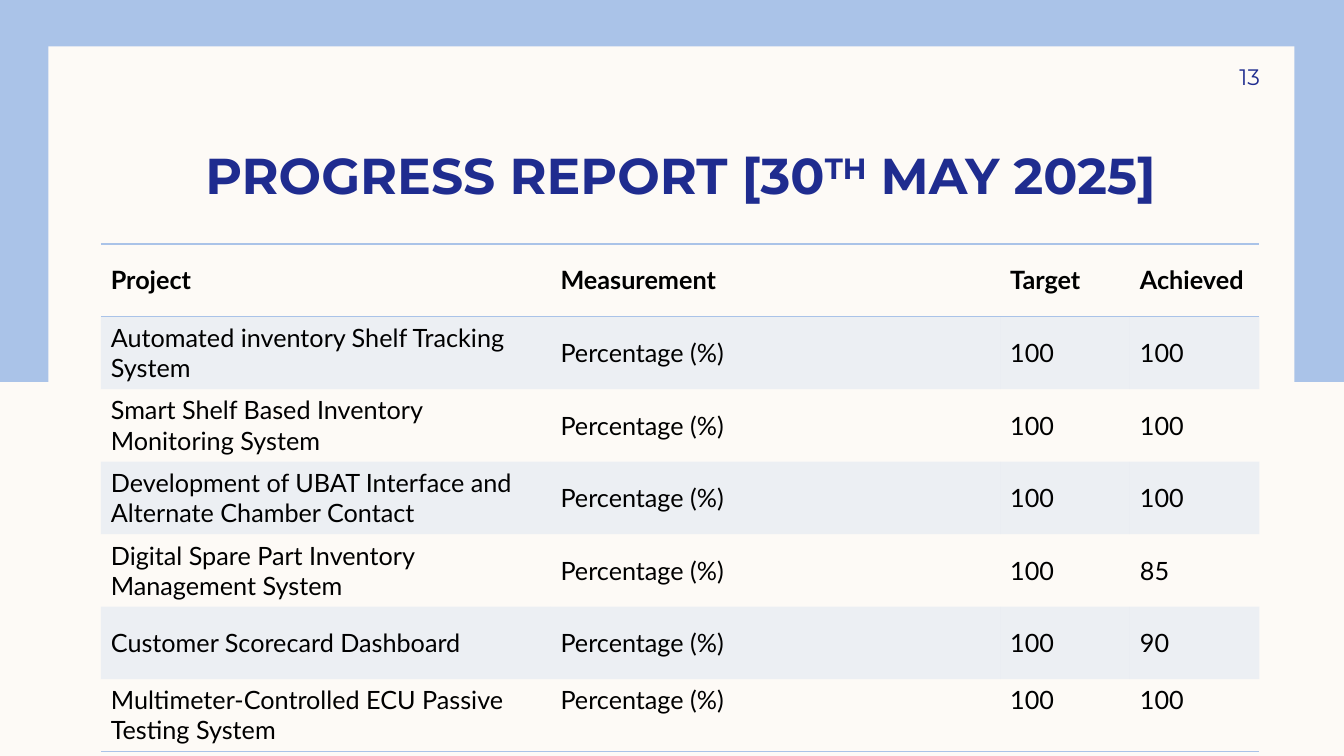
from pptx import Presentation
from pptx.dml.color import RGBColor
from pptx.enum.shapes import MSO_SHAPE
from pptx.enum.text import MSO_ANCHOR, PP_ALIGN
from pptx.oxml import parse_xml
from pptx.oxml.ns import nsdecls, qn
from pptx.util import Inches, Pt

COLORS = {"paper": "FDFAF6", "sky": "AAC3E8", "navy": "1F2C8F", "ink": "000000"}

PROJECTS = [
    ("Automated inventory Shelf Tracking System", 100),
    ("Smart Shelf Based Inventory Monitoring System", 100),
    ("Development of UBAT Interface and Alternate Chamber Contact", 100),
    ("Digital Spare Part Inventory Management System", 85),
    ("Customer Scorecard Dashboard", 90),
    ("Multimeter-Controlled ECU Passive Testing System", 100),
]


class Deck:
    """Draws styled elements on one slide, with lengths in percent of its size."""

    heading_font = "Montserrat"
    table_font = "Lato"

    def __init__(self):
        self.prs = Presentation()
        self.prs.slide_width, self.prs.slide_height = Inches(13.33), Inches(7.5)
        self.s = self.prs.slides.add_slide(self.prs.slide_layouts[6])
        fill = self.s.background.fill
        fill.solid()
        fill.fore_color.rgb = self.color("paper")

    def color(self, name):
        return RGBColor.from_string(COLORS[name])

    def x(self, share):
        return round(self.prs.slide_width * share / 100)

    def y(self, share):
        return round(self.prs.slide_height * share / 100)

    def box(self, left, top, width, height):
        return self.x(left), self.y(top), self.x(width), self.y(height)

    def style(self, p, font, size, color, bold=False):
        p.font.name, p.font.size, p.font.bold = font, Pt(size), bold
        p.font.color.rgb = self.color(color)

    def panel(self, area, color):
        sp = self.s.shapes.add_shape(MSO_SHAPE.RECTANGLE, *self.box(*area))
        sp.shadow.inherit = False
        sp.fill.solid()
        sp.fill.fore_color.rgb = self.color(color)
        sp.line.fill.background()

    def text(self, area, runs, size, align, anchor, insets, bold=False):
        tf = self.s.shapes.add_textbox(*self.box(*area)).text_frame
        tf.word_wrap, tf.vertical_anchor = True, anchor
        tf.margin_left, tf.margin_top, tf.margin_right, tf.margin_bottom = map(Inches, insets)
        p = tf.paragraphs[0]
        p.alignment = align
        self.style(p, self.heading_font, size, "navy", bold)
        for words, baseline in runs:
            r = p.add_run()
            r.text = words
            if baseline:
                r._r.get_or_add_rPr().set("baseline", str(baseline * 1000))

    def border(self, cell, side):
        cell._tc.get_or_add_tcPr().append(parse_xml(
            f'<a:{side} {nsdecls("a")} w="{Pt(1)}"><a:solidFill>'
            f'<a:srgbClr val="{COLORS["sky"]}"/></a:solidFill></a:{side}>'))

    def tint(self, cell, percent):
        cell.fill.solid()
        cell.fill.fore_color.rgb = self.color("sky")
        rgb = next(cell._tc.tcPr.iter(qn("a:srgbClr")))
        rgb.append(parse_xml(f'<a:alpha {nsdecls("a")} val="{percent * 1000}"/>'))

    def table(self, left, top, widths, row_height, rows):
        area = self.box(left, top, sum(widths), row_height * len(rows))
        t = self.s.shapes.add_table(len(rows), len(widths), *area).table
        t.first_row = t.horz_banding = False
        t._tbl.tblPr.find(qn("a:tableStyleId")).text = "{2D5ABB26-0587-4C30-8999-92F81FD0307C}"
        for column, width in zip(t.columns, widths):
            column.width = self.x(width)
        last = len(rows) - 1
        for i, row in enumerate(rows):
            t.rows[i].height = self.y(row_height)
            for j, value in enumerate(row):
                cell = t.cell(i, j)
                cell.text = str(value)
                cell.vertical_anchor = MSO_ANCHOR.TOP if i == last else MSO_ANCHOR.MIDDLE
                self.style(cell.text_frame.paragraphs[0], self.table_font, 18, "ink", i == 0)
                if i == 0:
                    self.border(cell, "lnT")
                if i in (0, last):
                    self.border(cell, "lnB")
                if i % 2:
                    self.tint(cell, 20)
                else:
                    cell.fill.background()


def main():
    deck = Deck()
    deck.panel((0, 0, 100, 50.53), "sky")
    deck.panel((3.6, 6.13, 92.72, 87.87), "paper")
    deck.text((7.5, 12.27, 86.27, 14.8),
              [("PROGRESS REPORT [30", 0), ("TH", 30), (" MAY 2025]", 0)],
              36, PP_ALIGN.CENTER, MSO_ANCHOR.BOTTOM, (0.1, 0, 0.1, 0), bold=True)
    rows = [("Project", "Measurement", "Target", "Achieved")]
    rows += [(name, "Percentage (%)", 100, achieved) for name, achieved in PROJECTS]
    deck.table(7.5, 32.27, (33.46, 33.46, 9.65, 9.65), 9.6, rows)
    deck.text((85, 6.67, 8.75, 6.93), [("13", 0)], 16,
              PP_ALIGN.RIGHT, MSO_ANCHOR.MIDDLE, (0.1, 0.05, 0, 0.05))
    deck.prs.save("out.pptx")


if __name__ == "__main__":
    main()
